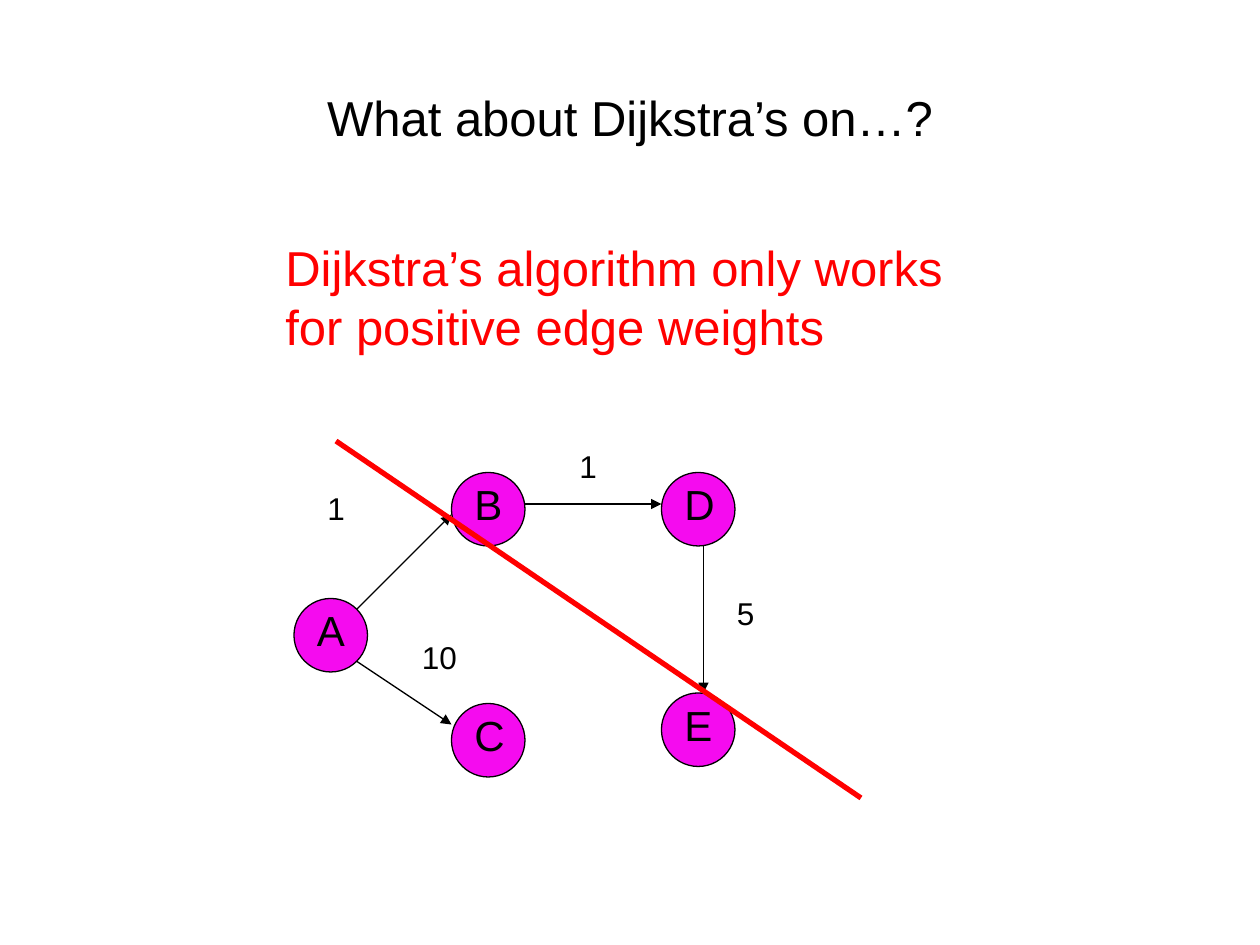
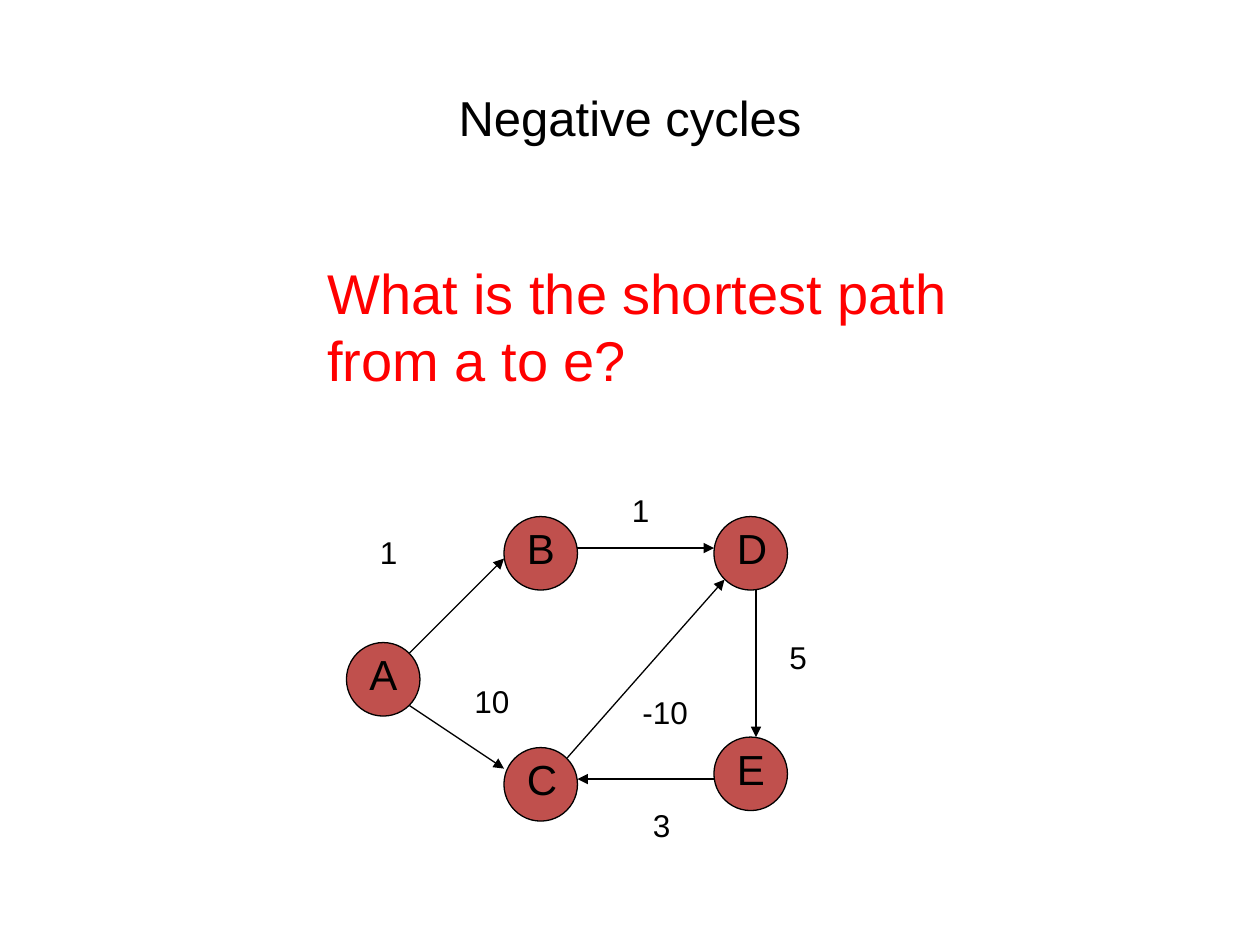
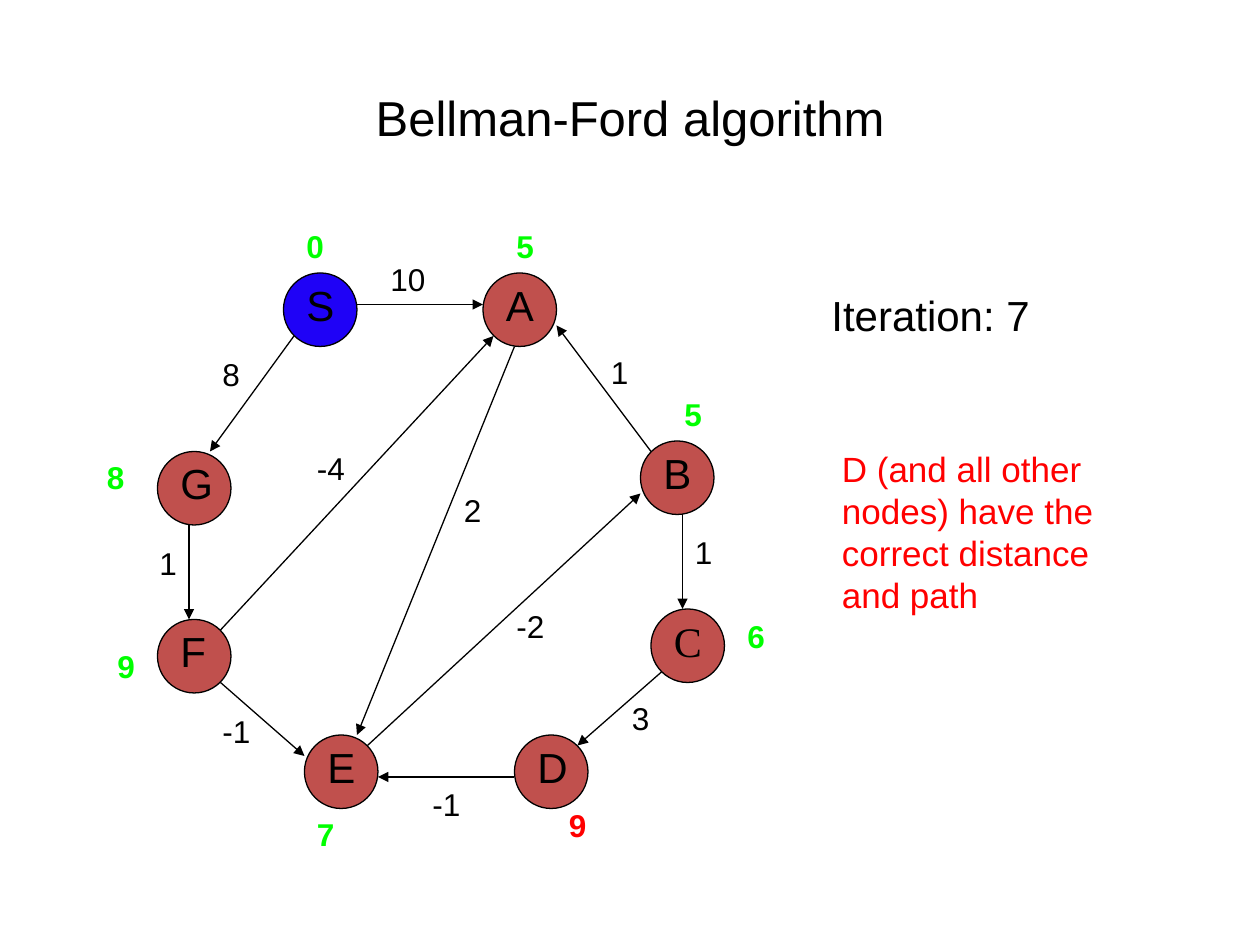
import pptx
import pptx.util
import pptx.dml.color
import pptx.enum.shapes
import pptx.enum.text
import pptx.oxml.ns
from lxml import etree

PX = 7620  # EMU, 120 px to the inch
BLACK, RED, GREEN = "000000", "FF0000", "00FF00"
PINK, BRICK, BLUE = "F50BEF", "C0504D", "1F02F6"
FONT = "Arial"
DISC = 70

# Graph of the first two slides: name, x, y / x1, y1, x2, y2 / text, x, y, width
NODES = [("A", 280, 570), ("B", 430, 450), ("C", 430, 670),
         ("E", 630, 660), ("D", 630, 450)]
EDGES = [(340, 580, 430, 490), (340, 630, 430, 690),
         (500, 480, 630, 480), (670, 520, 670, 660)]
COSTS = [("1", 300, 460, 90), ("1", 540, 420, 90),
         ("5", 690, 560, 90), ("10", 390, 602, 90)]

# Edges that close the negative cycle
LOOP_EDGES = [(490, 680, 640, 510), (630, 700, 500, 700)]
LOOP_COSTS = [("-10", 550, 612, 90), ("3", 560, 720, 60)]
LOOP_SHIFT = (50, 42)

# Graph of the Bellman-Ford slide
BF_NODES = [("G", 150, 430), ("S", 270, 260, BLUE), ("F", 150, 590),
            ("E", 290, 700), ("A", 460, 260), ("D", 490, 700),
            ("B", 610, 420), ("C", 620, 580, BRICK, "Times New Roman")]
BF_EDGES = [(340, 290, 460, 290), (620, 430, 530, 310), (650, 490, 650, 580),
            (630, 640, 550, 710), (490, 740, 360, 740), (210, 650, 290, 720),
            (180, 500, 180, 590), (280, 320, 200, 430), (210, 600, 470, 320),
            (490, 330, 340, 700), (350, 710, 610, 470)]
BF_COSTS = [("10", 360, 242, 60), ("8", 200, 332, 60), ("1", 140, 512, 60),
            ("-1", 200, 672, 60), ("-1", 400, 742, 60), ("3", 590, 660, 60),
            ("1", 650, 502, 60), ("1", 570, 330, 60), ("2", 430, 462, 60),
            ("-2", 480, 572, 60), ("-4", 290, 422, 60)]
DISTS = [("0", 280, 210, GREEN), ("5", 480, 210, GREEN), ("5", 640, 370, GREEN),
         ("6", 700, 582, GREEN), ("9", 530, 762, RED), ("7", 290, 770, GREEN),
         ("9", 100, 610, GREEN), ("8", 90, 430, GREEN)]


def color(code):
    return pptx.dml.color.RGBColor.from_string(code)


def box(*sizes):
    return [pptx.util.Emu(n * PX) for n in sizes]


def style(par, size, code=BLACK, font=FONT, bold=False):
    for run in par.runs:
        run.font.size = pptx.util.Pt(size)
        run.font.name = font
        run.font.bold = bold
        run.font.color.rgb = color(code)


def add_xml(parent, tag, **attrs):
    return etree.SubElement(parent, pptx.oxml.ns.qn(tag), attrs)


def write(shapes, text, x, y, w, h, size, code=BLACK, font=FONT, bold=False):
    frame = shapes.add_textbox(*box(x, y, w, h)).text_frame
    frame.word_wrap = True
    frame.auto_size = pptx.enum.text.MSO_AUTO_SIZE.SHAPE_TO_FIT_TEXT
    frame.text = text
    par = frame.paragraphs[0]
    style(par, size, code, font, bold)
    space = add_xml(par._p.get_or_add_pPr(), "a:spcBef")
    add_xml(space, "a:spcPct", val="50000")


def add_node(shapes, name, x, y, fill, font=FONT):
    group = shapes.add_group_shape().shapes
    disc = group.add_shape(pptx.enum.shapes.MSO_SHAPE.OVAL, *box(x, y, DISC, DISC))
    disc.shadow.inherit = False
    disc.fill.solid()
    disc.fill.fore_color.rgb = color(fill)
    disc.line.color.rgb = color(BLACK)
    disc.line.width = pptx.util.Pt(0.75)
    write(group, name, x + 10, y, 60, 60, 24, font=font)


def add_line(shapes, ends, code=BLACK, width=0.75, arrow=True):
    kind = pptx.enum.shapes.MSO_CONNECTOR.STRAIGHT
    line = shapes.add_connector(kind, *box(*ends))
    line.line.color.rgb = color(code)
    line.line.width = pptx.util.Pt(width)
    props = line._element.spPr
    if arrow:
        add_xml(props.find(pptx.oxml.ns.qn("a:ln")), "a:tailEnd", type="triangle")
    add_xml(props, "a:effectLst")


def add_graph(shapes, nodes, edges, costs, fill, shift=(0, 0)):
    dx, dy = shift
    for name, x, y, *look in nodes:
        add_node(shapes, name, x + dx, y + dy, *(look or [fill]))
    for x1, y1, x2, y2 in edges:
        add_line(shapes, (x1 + dx, y1 + dy, x2 + dx, y2 + dy))
    for text, x, y, w in costs:
        write(shapes, text, x + dx, y + dy, w, 48, 18)


def add_slide(deck, title):
    slide = deck.slides.add_slide(deck.slide_layouts[5])
    head = slide.shapes.title
    head.left, head.top, head.width, head.height = box(60, 36, 1080, 150)
    frame = head.text_frame
    frame.text = title
    frame.vertical_anchor = pptx.enum.text.MSO_ANCHOR.MIDDLE
    frame.paragraphs[0].alignment = pptx.enum.text.PP_ALIGN.CENTER
    style(frame.paragraphs[0], 28)
    return slide.shapes


def main():
    deck = pptx.Presentation()
    deck.slide_width, deck.slide_height = box(1200, 900)

    shapes = add_slide(deck, "What about Dijkstra’s on…?")
    add_graph(shapes, NODES, EDGES, COSTS, PINK)
    add_line(shapes, (320, 420, 820, 760), RED, 3, arrow=False)
    write(shapes, "Dijkstra’s algorithm only works for positive edge weights",
          260, 220, 660, 124, 28, RED)

    shapes = add_slide(deck, "Negative cycles")
    add_graph(shapes, NODES, EDGES + LOOP_EDGES, COSTS + LOOP_COSTS,
              BRICK, LOOP_SHIFT)
    write(shapes, "What is the shortest path from a to e?",
          300, 240, 680, 140, 32, RED)

    shapes = add_slide(deck, "Bellman-Ford algorithm")
    add_graph(shapes, BF_NODES, BF_EDGES, BF_COSTS, BRICK)
    for text, x, y, code in DISTS:
        write(shapes, text, x, y, 60, 48, 18, code, bold=True)
    write(shapes, "Iteration: 7", 780, 270, 280, 60, 24)
    write(shapes, "D (and all other nodes) have the correct distance and path",
          790, 420, 290, 172, 20, RED)

    deck.save("out.pptx")


if __name__ == "__main__":
    main()
